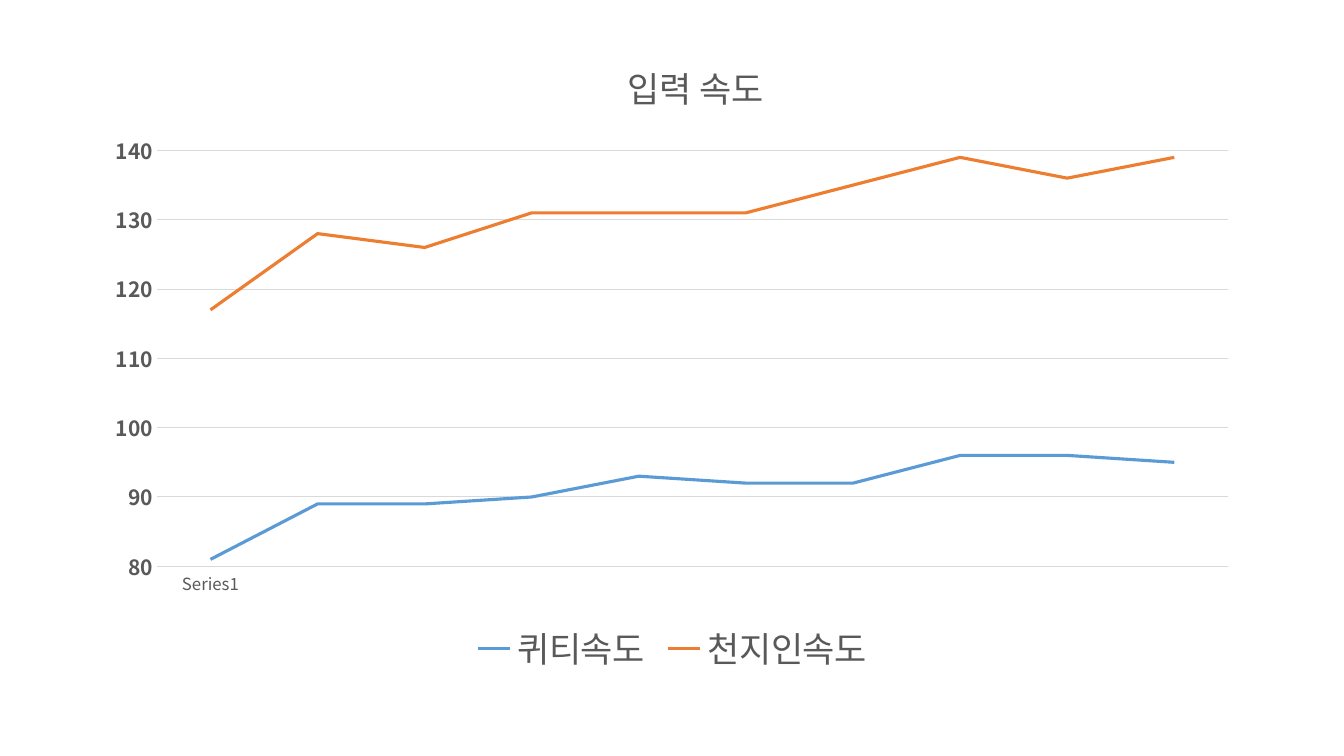
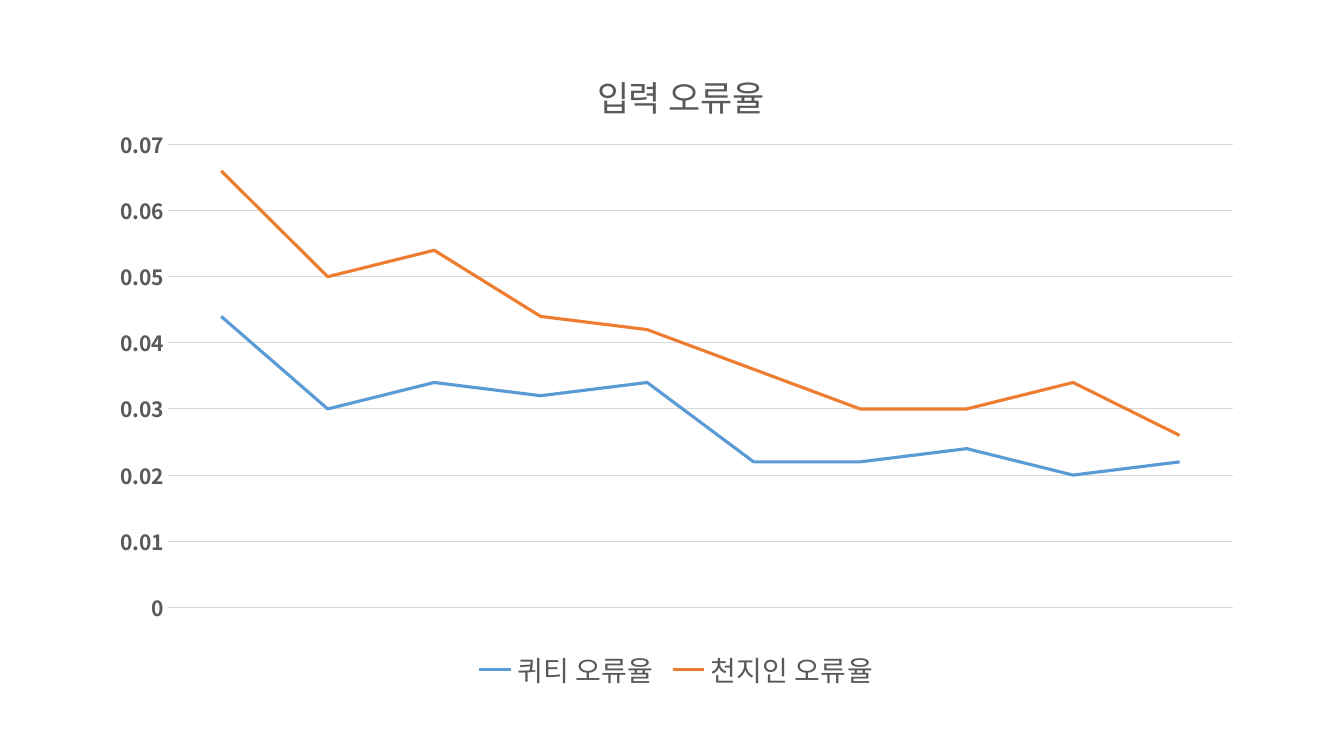
from lxml import etree
from pptx import Presentation
from pptx.chart.data import CategoryChartData
from pptx.dml.color import RGBColor
from pptx.enum.chart import XL_CHART_TYPE, XL_LEGEND_POSITION, XL_TICK_MARK
from pptx.oxml.ns import qn
from pptx.util import Pt

LINE = XL_CHART_TYPE.LINE
BOTTOM = XL_LEGEND_POSITION.BOTTOM
NONE = XL_TICK_MARK.NONE
FONT = "Noto Sans CJK KR"
COLORS = {"text": "595959", "grid": "D9D9D9", "qwerty": "5B9BD5", "cheon": "ED7D31"}

CHARTS = [
    {
        "title": "입력 속도",
        "cats": ["Series1"] + [""] * 9,
        "series": [
            ("퀴티속도", "qwerty", [81, 89, 89, 90, 93, 92, 92, 96, 96, 95]),
            ("천지인속도", "cheon", [117, 128, 126, 131, 131, 131, 135, 139, 136, 139]),
        ],
        "scale": (80, 140, 10),
        "labels": True,
        "legend": 25,
        "frame": (66.24, 23.04, 828, 462.96),
        "plot": (112.1, 107.5, 765, 297.1),
        "head": (444, 37.5),
    },
    {
        "title": "입력 오류율",
        "cats": [str(n) for n in range(1, 11)],
        "series": [
            ("퀴티 오류율", "qwerty",
             [0.044, 0.03, 0.034, 0.032, 0.034, 0.022, 0.022, 0.024, 0.02, 0.022]),
            ("천지인 오류율", "cheon",
             [0.066, 0.05, 0.054, 0.044, 0.042, 0.036, 0.03, 0.03, 0.034, 0.026]),
        ],
        "scale": (0, 0.07, 0.01),
        "labels": False,
        "legend": 20,
        "frame": (69.12, 26.64, 828, 470.16),
        "plot": (120, 103.2, 760.7, 330.7),
        "head": (422, 44),
    },
]


def color(name):
    return RGBColor.from_string(COLORS[name])


def style(font, size, bold=False):
    font.name = FONT
    font.size = Pt(size)
    font.bold = bold
    font.color.rgb = color("text")


def rule(line, name, width):
    line.color.rgb = color(name)
    line.width = Pt(width)


def place(node, index, box, frame):
    left, top, wide, high = frame
    for old in node.findall(qn("c:layout")):
        node.remove(old)
    layout = etree.Element(qn("c:layout"))
    node.insert(index, layout)
    manual = etree.SubElement(layout, qn("c:manualLayout"))
    parts = [("xMode", "edge"), ("yMode", "edge"),
             ("x", (box[0] - left) / wide), ("y", (box[1] - top) / high)]
    if len(box) == 4:
        parts.insert(0, ("layoutTarget", "inner"))
        parts += [("w", box[2] / wide), ("h", box[3] / high)]
    for tag, value in parts:
        etree.SubElement(manual, qn("c:" + tag)).set("val", str(value))


def draw(slide, item):
    data = CategoryChartData()
    data.categories = item["cats"]
    for name, _, values in item["series"]:
        data.add_series(name, values)
    frame = item["frame"]
    chart = slide.shapes.add_chart(LINE, *map(Pt, frame), data).chart
    chart.font.name = FONT
    chart.font.size = Pt(10)

    chart.has_title = True
    title = chart.chart_title
    title.include_in_layout = False
    para = title.text_frame.paragraphs[0]
    run = para.add_run()
    run.text = item["title"]
    style(para.font, 25)
    style(run.font, 25)

    chart.has_legend = True
    legend = chart.legend
    legend.position = BOTTOM
    legend.include_in_layout = False
    style(legend.font, item["legend"])

    base = chart.category_axis
    base.visible = item["labels"]
    base.major_tick_mark = base.minor_tick_mark = NONE
    style(base.tick_labels.font, 12)
    rule(base.format.line, "grid", 0.75)

    axis = chart.value_axis
    axis.minimum_scale, axis.maximum_scale, axis.major_unit = item["scale"]
    axis.major_tick_mark = axis.minor_tick_mark = NONE
    axis.tick_labels.number_format = "General"
    axis.tick_labels.number_format_is_linked = False
    style(axis.tick_labels.font, 15, True)
    axis.format.line.fill.background()
    rule(axis.major_gridlines.format.line, "grid", 0.75)

    chart.plots[0].vary_by_categories = False
    for line, (_, name, _) in zip(chart.plots[0].series, item["series"]):
        line.smooth = False
        rule(line.format.line, name, 2.25)

    root = chart.element
    place(root.find(".//" + qn("c:plotArea")), 0, item["plot"], frame)
    place(root.find(".//" + qn("c:title")), 1, item["head"], frame)
    for latin in list(root.iter(qn("a:latin"))):
        asian = etree.Element(qn("a:ea"))
        asian.set("typeface", FONT)
        latin.addnext(asian)


deck = Presentation()
deck.slide_width, deck.slide_height = Pt(960), Pt(540)
for item in CHARTS:
    draw(deck.slides.add_slide(deck.slide_layouts[6]), item)
deck.save("out.pptx")
